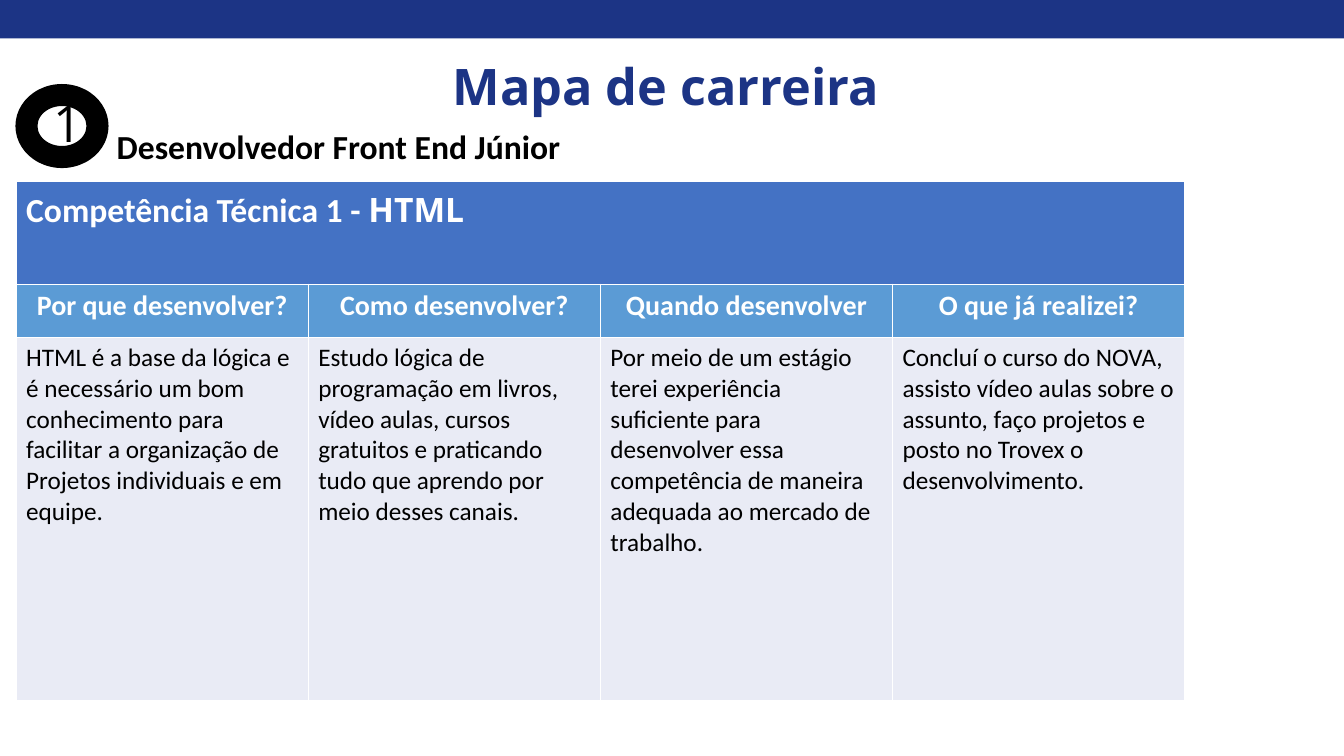
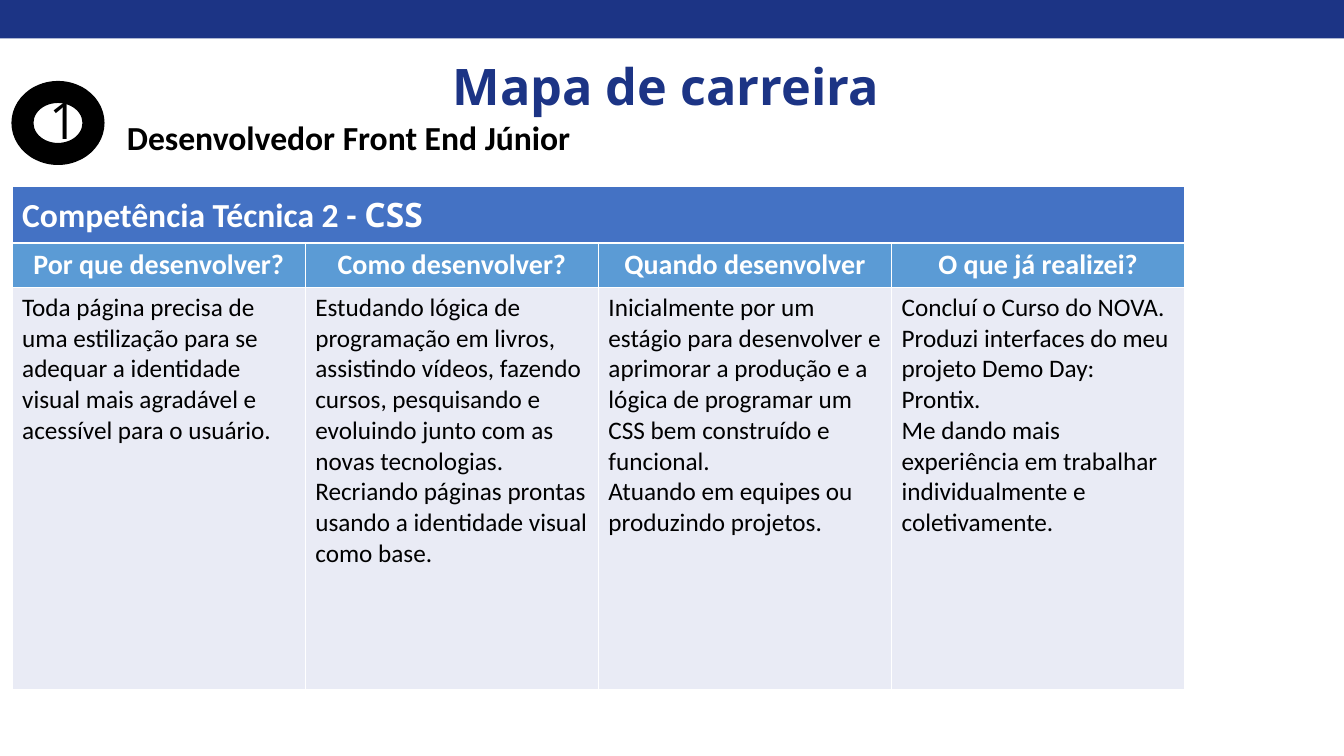
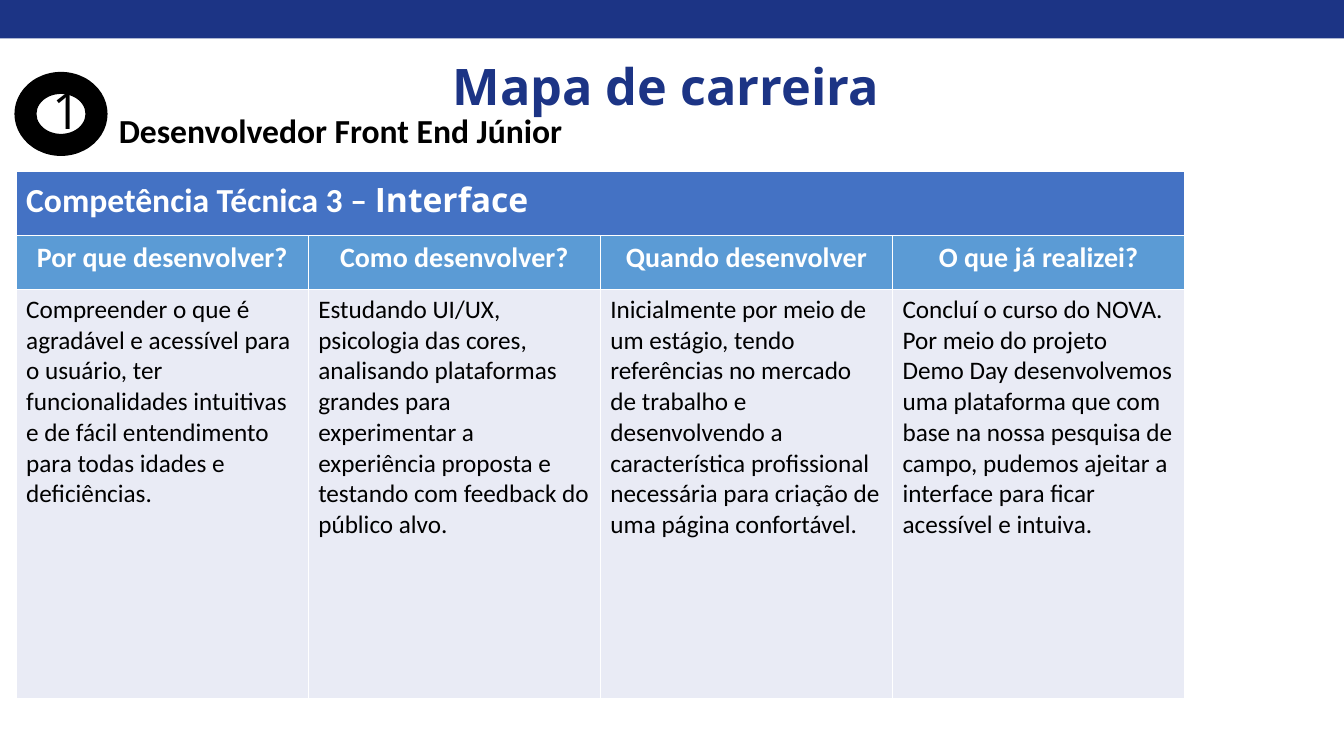
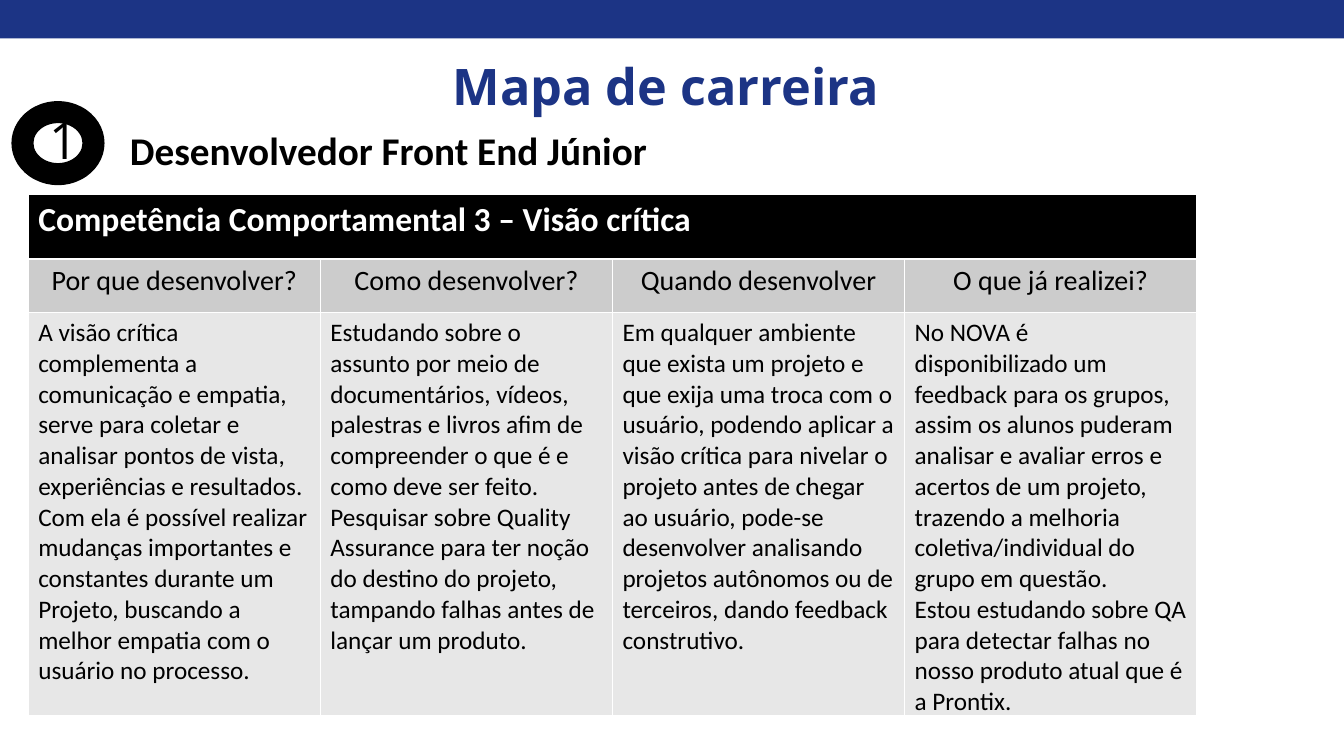
from dataclasses import dataclass

from pptx import Presentation
from pptx.dml.color import RGBColor
from pptx.enum.shapes import MSO_SHAPE
from pptx.enum.text import MSO_ANCHOR, PP_ALIGN
from pptx.util import Inches, Pt

RECTANGLE = MSO_SHAPE.RECTANGLE
DONUT = MSO_SHAPE.DONUT
BOTTOM = MSO_ANCHOR.BOTTOM
LEFT = PP_ALIGN.LEFT
CENTER = PP_ALIGN.CENTER


@dataclass(frozen=True)
class Theme:
    """Colours, fonts and type sizes shared by all slides."""
    navy: RGBColor = RGBColor(0x1C, 0x34, 0x85)
    black: RGBColor = RGBColor(0, 0, 0)
    white: RGBColor = RGBColor(0xFF, 0xFF, 0xFF)
    body_font: str = "Calibri"
    display_font: str = "Open Sans"
    title_size: int = 36
    heading_size: int = 24
    label_size: int = 20
    body_size: int = 18


@dataclass(frozen=True)
class TableStyle:
    """Fills of the three table rows and the look of the column labels."""
    header_fill: RGBColor
    label_fill: RGBColor
    body_fill: RGBColor
    label_color: RGBColor
    label_bold: bool


@dataclass(frozen=True)
class CareerSlide:
    """Content and placement of one competence slide."""
    badge: tuple
    role: tuple
    table: tuple
    row_heights: tuple
    competence: str
    skill: str
    answers: tuple
    style: TableStyle
    skill_font: str = "Open Sans"
    role_size: int = 24


THEME = Theme()
TECHNICAL = TableStyle(RGBColor(0x44, 0x72, 0xC4), RGBColor(0x5B, 0x9B, 0xD5),
                       RGBColor(0xE9, 0xEB, 0xF5), THEME.white, True)
BEHAVIOURAL = TableStyle(THEME.black, RGBColor(0xCC, 0xCC, 0xCC),
                         RGBColor(0xE7, 0xE7, 0xE7), THEME.black, False)
QUESTIONS = ("Por que desenvolver?", "Como desenvolver?",
             "Quando desenvolver", "O que já realizei?")

CAREER_SLIDES = (
    CareerSlide(
        badge=(0.16, 0.84), role=(1.06, 1.2), table=(0.16, 1.8, 11.59),
        row_heights=(1.02, 0.53, 3.6),
        competence="Competência Técnica 1 - ", skill="HTML", style=TECHNICAL,
        answers=(
            ("HTML é a base da lógica e é necessário um bom conhecimento para "
             "facilitar a organização de Projetos individuais e em equipe.",),
            ("Estudo lógica de programação em livros, vídeo aulas, cursos "
             "gratuitos e praticando tudo que aprendo por meio desses canais.",),
            ("Por meio de um estágio terei experiência suficiente para desenvolver "
             "essa competência de maneira adequada ao mercado de trabalho.",),
            ("Concluí o curso do NOVA, assisto vídeo aulas sobre o assunto, faço "
             "projetos e posto no Trovex o desenvolvimento.",),
        )),
    CareerSlide(
        badge=(0.12, 0.81), role=(1.16, 1.11), table=(0.12, 1.85, 11.63),
        row_heights=(0.56, 0.44, 3.99),
        competence="Competência Técnica 2 - ", skill="CSS", style=TECHNICAL,
        answers=(
            ("Toda página precisa de uma estilização para se adequar a identidade "
             "visual mais agradável e acessível para o usuário.",),
            ("Estudando lógica de programação em livros, assistindo vídeos, fazendo "
             "cursos, pesquisando e evoluindo junto com as novas tecnologias.",
             "Recriando páginas prontas usando a identidade visual como base."),
            ("Inicialmente por um estágio para desenvolver e aprimorar a produção e "
             "a lógica de programar um CSS bem construído e funcional.",
             "Atuando em equipes ou produzindo projetos."),
            ("Concluí o Curso do NOVA.",
             "Produzi interfaces do meu projeto Demo Day: Prontix.",
             "Me dando mais experiência em trabalhar individualmente e "
             "coletivamente."),
        )),
    CareerSlide(
        badge=(0.15, 0.72), role=(1.08, 1.04), table=(0.16, 1.7, 11.59),
        row_heights=(0.64, 0.53, 4.06),
        competence="Competência Técnica 3 – ", skill="Interface", style=TECHNICAL,
        answers=(
            ("Compreender o que é agradável e acessível para o usuário, ter "
             "funcionalidades intuitivas e de fácil entendimento para todas idades "
             "e deficiências.",),
            ("Estudando UI/UX, psicologia das cores, analisando plataformas grandes "
             "para experimentar a experiência proposta e testando com feedback do "
             "público alvo.",),
            ("Inicialmente por meio de um estágio, tendo referências no mercado de "
             "trabalho e desenvolvendo a característica profissional necessária "
             "para criação de uma página confortável.",),
            ("Concluí o curso do NOVA.",
             "Por meio do projeto Demo Day desenvolvemos uma plataforma que com base "
             "na nossa pesquisa de campo, pudemos ajeitar a interface para ficar "
             "acessível e intuiva."),
        )),
    CareerSlide(
        badge=(0.12, 1.01), role=(1.19, 1.2), table=(0.28, 1.93, 11.59),
        row_heights=(0.64, 0.53, 4.0),
        competence="Competência Comportamental 3 – ", skill="Visão crítica",
        style=BEHAVIOURAL, skill_font=THEME.body_font, role_size=28,
        answers=(
            ("A visão crítica complementa a comunicação e empatia, serve para "
             "coletar e analisar pontos de vista, experiências e resultados.",
             "Com ela é possível realizar mudanças importantes e constantes durante "
             "um Projeto, buscando a melhor empatia com o usuário no processo."),
            ("Estudando sobre o assunto por meio de documentários, vídeos, palestras "
             "e livros afim de compreender o que é e como deve ser feito.",
             "Pesquisar sobre Quality Assurance para ter noção do destino do "
             "projeto, tampando falhas antes de lançar um produto."),
            ("Em qualquer ambiente que exista um projeto e que exija uma troca com o "
             "usuário, podendo aplicar a visão crítica para nivelar o projeto antes "
             "de chegar ao usuário, pode-se desenvolver analisando projetos "
             "autônomos ou de terceiros, dando feedback construtivo.",),
            ("No NOVA é disponibilizado um feedback para os grupos, assim os alunos "
             "puderam analisar e avaliar erros e acertos de um projeto, trazendo a "
             "melhoria coletiva/individual do grupo em questão.",
             "Estou estudando sobre QA para detectar falhas no nosso produto atual "
             "que é a Prontix."),
        )),
)


def style_paragraph(paragraph, size, color, bold=False, font=THEME.body_font,
                    align=LEFT):
    """Set the type and alignment of a whole paragraph."""
    paragraph.alignment = align
    paragraph.font.size = Pt(size)
    paragraph.font.color.rgb = color
    paragraph.font.bold = bold
    paragraph.font.name = font


def add_text(shapes, text, left, top, width, height, wrap=True, **type_style):
    """Add a one-paragraph text box and return its text frame."""
    box = shapes.add_textbox(Inches(left), Inches(top), Inches(width), Inches(height))
    frame = box.text_frame
    frame.word_wrap = wrap
    frame.text = text
    style_paragraph(frame.paragraphs[0], **type_style)
    return frame


def add_filled_shape(shapes, kind, left, top, width, height, color):
    """Add a plain shape in one colour and return it."""
    shape = shapes.add_shape(kind, Inches(left), Inches(top),
                             Inches(width), Inches(height))
    shape.shadow.inherit = False
    shape.fill.solid()
    shape.fill.fore_color.rgb = color
    shape.line.fill.background()
    return shape


def add_frame(slide):
    """Add the top band and the title that every slide carries."""
    add_filled_shape(slide.shapes, RECTANGLE, 0, 0, 13.33, 0.38, THEME.navy)
    title = add_text(slide.shapes, "Mapa de carreira ", 0.92, 0.27, 11.5, 0.93,
                     size=THEME.title_size, color=THEME.navy, bold=True,
                     font=THEME.display_font, align=CENTER)
    title.vertical_anchor = BOTTOM
    title.paragraphs[0].line_spacing = 0.9


def add_badge(slide, left, top):
    """Add the ring with the number of the career step."""
    group = slide.shapes.add_group_shape()
    add_text(group.shapes, "1", left + 0.27, top + 0.02, 0.36, 0.71, wrap=False,
             size=THEME.title_size, color=THEME.black, font=THEME.display_font)
    ring = add_filled_shape(group.shapes, DONUT, left, top, 0.91, 0.82, THEME.black)
    ring.line.color.rgb = THEME.black
    ring.line.width = Pt(1)


def fill_cell(cell, paragraphs, fill, **type_style):
    """Write paragraphs into a table cell and colour it."""
    cell.fill.solid()
    cell.fill.fore_color.rgb = fill
    cell.text = "\n".join(paragraphs)
    for paragraph in cell.text_frame.paragraphs:
        style_paragraph(paragraph, **type_style)


def add_header(table, content):
    """Merge the first row and write the competence and skill in it."""
    header = table.cell(0, 0)
    header.merge(table.cell(0, len(QUESTIONS) - 1))
    fill_cell(header, [content.competence], content.style.header_fill,
              size=THEME.heading_size, color=THEME.white, bold=True)
    skill = header.text_frame.paragraphs[0].add_run()
    skill.text = content.skill
    skill.font.name = content.skill_font


def add_competence_table(slide, content):
    """Add the table of questions and answers about one competence."""
    left, top, width = content.table
    style = content.style
    table = slide.shapes.add_table(
        len(content.row_heights), len(QUESTIONS), Inches(left), Inches(top),
        Inches(width), Inches(sum(content.row_heights))).table
    table.horz_banding = False
    for row, height in zip(table.rows, content.row_heights):
        row.height = Inches(height)
    add_header(table, content)
    for column, (question, answer) in enumerate(zip(QUESTIONS, content.answers)):
        fill_cell(table.cell(1, column), [question], style.label_fill,
                  size=THEME.label_size, color=style.label_color,
                  bold=style.label_bold, align=CENTER)
        answer_cell = table.cell(2, column)
        answer_cell.margin_bottom = 0
        fill_cell(answer_cell, answer, style.body_fill,
                  size=THEME.body_size, color=THEME.black)


def add_career_slide(presentation, content):
    """Build one competence slide."""
    slide = presentation.slides.add_slide(presentation.slide_layouts[6])
    add_frame(slide)
    add_competence_table(slide, content)
    add_badge(slide, *content.badge)
    add_text(slide.shapes, "Desenvolvedor Front End Júnior", *content.role, 6.66, 0.5,
             size=content.role_size, color=THEME.black, bold=True)


def main():
    """Build and save the presentation."""
    presentation = Presentation()
    presentation.slide_width = Inches(13.33)
    presentation.slide_height = Inches(7.5)
    for content in CAREER_SLIDES:
        add_career_slide(presentation, content)
    presentation.save("out.pptx")


main()
